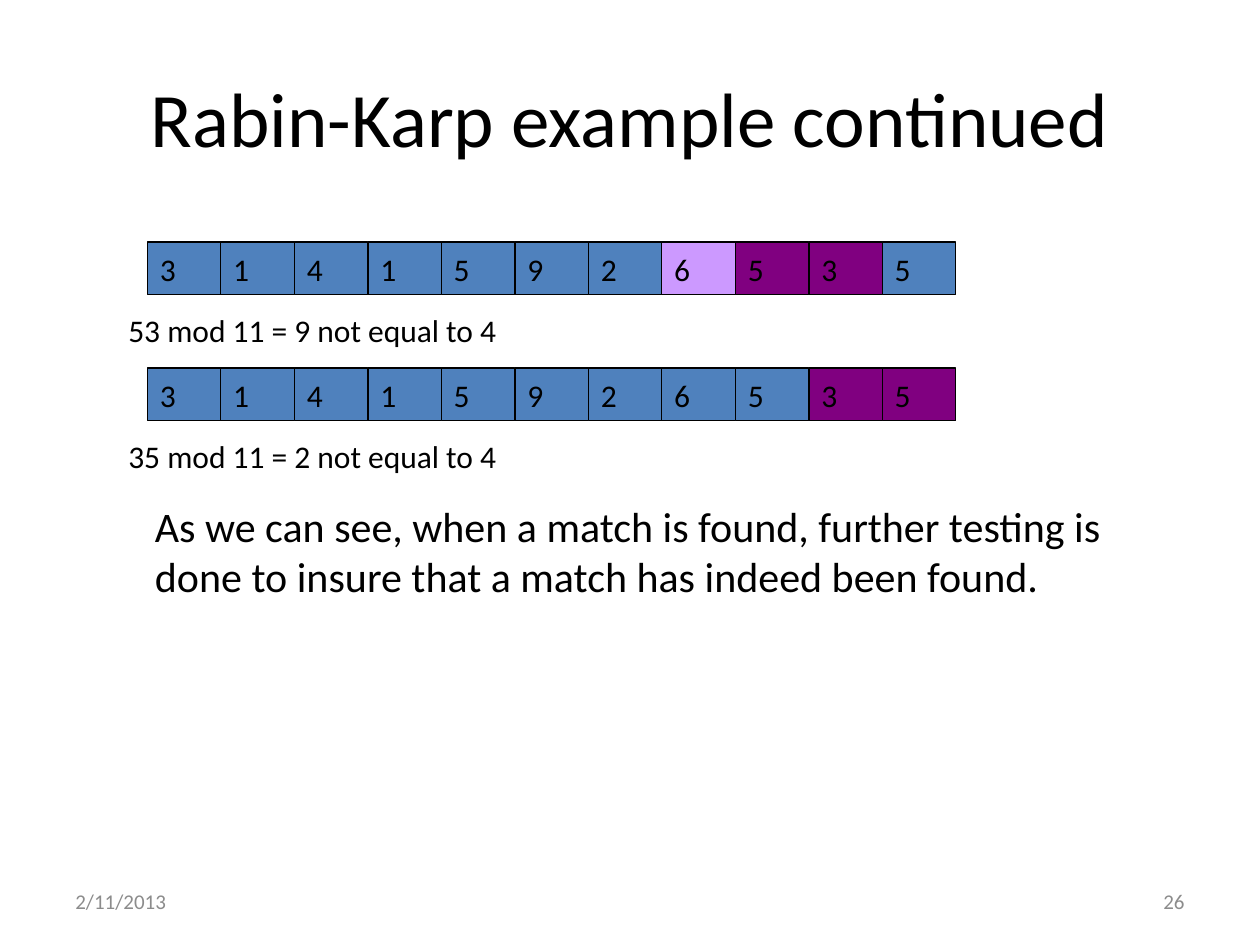
from dataclasses import dataclass

from pptx import Presentation
from pptx.dml.color import RGBColor
from pptx.enum.shapes import MSO_SHAPE
from pptx.enum.text import MSO_ANCHOR, PP_ALIGN
from pptx.slide import Slide
from pptx.text.text import TextFrame
from pptx.util import Inches, Pt

COLORS = {
    "text": "000000",
    "footer": "8C8C8C",
    "digit": "4F81BD",
    "window": "800080",
    "previous": "CC99FF",
}
DIGITS = "31415926535"
ROW_LEFT = 1.17
CELL_WIDTH = 7 / 12
CELL_HEIGHT = 0.42


@dataclass
class Label:
    text: str
    left: float
    top: float
    width: float
    height: float
    size: int
    color: str = "text"
    align: PP_ALIGN = PP_ALIGN.LEFT
    anchor: MSO_ANCHOR = MSO_ANCHOR.TOP
    indent: float = 0


@dataclass
class Step:
    top: float
    highlights: dict[int, str]
    result: str


LABELS = [
    Label("Rabin-Karp example continued", 0.5, 0.3, 9, 1.25, 44,
          align=PP_ALIGN.CENTER, anchor=MSO_ANCHOR.MIDDLE),
    Label("As we can see, when a match is found, further testing is done to "
          "insure that a match has indeed been found.",
          0.75, 3.92, 8.5, 2.75, 24, indent=0.38),
    Label("2/11/2013", 0.5, 6.95, 2.33, 0.4, 12, "footer",
          anchor=MSO_ANCHOR.MIDDLE),
    Label("26", 7.17, 6.95, 2.33, 0.4, 12, "footer", PP_ALIGN.RIGHT,
          MSO_ANCHOR.MIDDLE),
]
STEPS = [
    Step(1.92, {7: "previous", 8: "window", 9: "window"},
         "53 mod 11 = 9 not equal to 4"),
    Step(2.92, {9: "window", 10: "window"}, "35 mod 11 = 2 not equal to 4"),
]


def rgb(name: str) -> RGBColor:
    """Look up a named colour."""
    return RGBColor.from_string(COLORS[name])


def write(frame: TextFrame, text: str, size: int, color: str,
          align: PP_ALIGN, anchor: MSO_ANCHOR) -> None:
    """Fill a text frame with one styled paragraph."""
    frame.word_wrap = True
    frame.vertical_anchor = anchor
    paragraph = frame.paragraphs[0]
    paragraph.text = text
    paragraph.alignment = align
    paragraph.font.name = "Calibri"
    paragraph.font.size = Pt(size)
    paragraph.font.color.rgb = rgb(color)


def draw_label(slide: Slide, label: Label) -> None:
    """Draw a free-standing text."""
    frame = slide.shapes.add_textbox(
        Inches(label.left), Inches(label.top),
        Inches(label.width), Inches(label.height)).text_frame
    frame.margin_left = Inches(0.1 + label.indent)
    write(frame, label.text, label.size, label.color, label.align, label.anchor)


def draw_cell(slide: Slide, digit: str, left: float, top: float,
              color: str) -> None:
    """Draw one digit of the searched text."""
    cell = slide.shapes.add_shape(
        MSO_SHAPE.RECTANGLE, Inches(left), Inches(top),
        Inches(CELL_WIDTH), Inches(CELL_HEIGHT))
    cell.shadow.inherit = False
    cell.fill.solid()
    cell.fill.fore_color.rgb = rgb(color)
    cell.line.color.rgb = rgb("text")
    cell.line.width = Pt(0.75)
    write(cell.text_frame, digit, 18, "text", PP_ALIGN.LEFT, MSO_ANCHOR.MIDDLE)


def draw_step(slide: Slide, step: Step) -> None:
    """Draw a row of digits with its hash comparison below."""
    for index, digit in enumerate(DIGITS):
        draw_cell(slide, digit, ROW_LEFT + index * CELL_WIDTH, step.top,
                  step.highlights.get(index, "digit"))
    draw_label(slide, Label(step.result, 0.92, step.top + 0.5, 6.47, 0.5, 18))


def main() -> None:
    """Build and save the slide."""
    presentation = Presentation()
    presentation.slide_width = Inches(10)
    presentation.slide_height = Inches(7.5)
    slide = presentation.slides.add_slide(presentation.slide_layouts[6])
    for step in STEPS:
        draw_step(slide, step)
    for label in LABELS:
        draw_label(slide, label)
    presentation.save("out.pptx")


if __name__ == "__main__":
    main()
